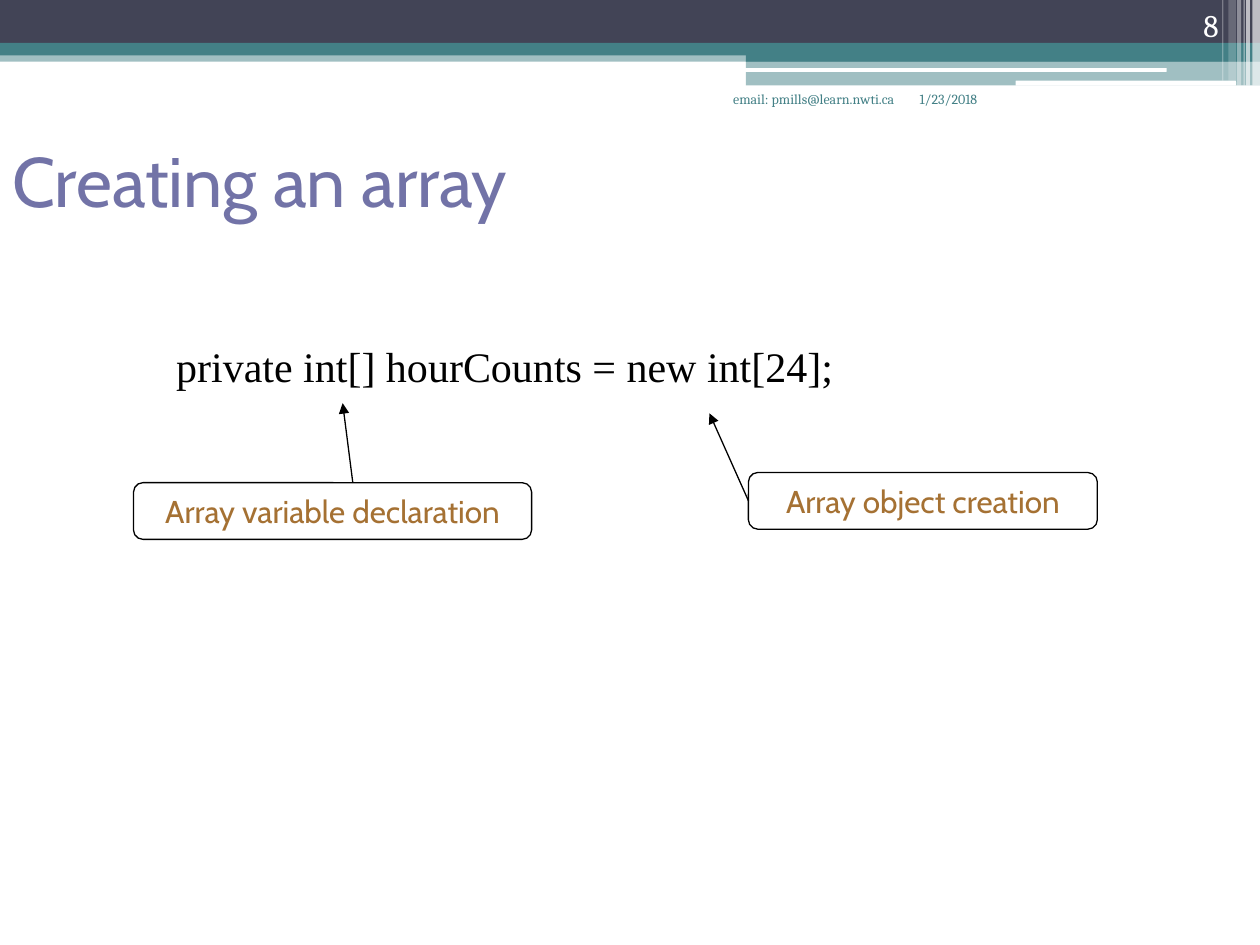
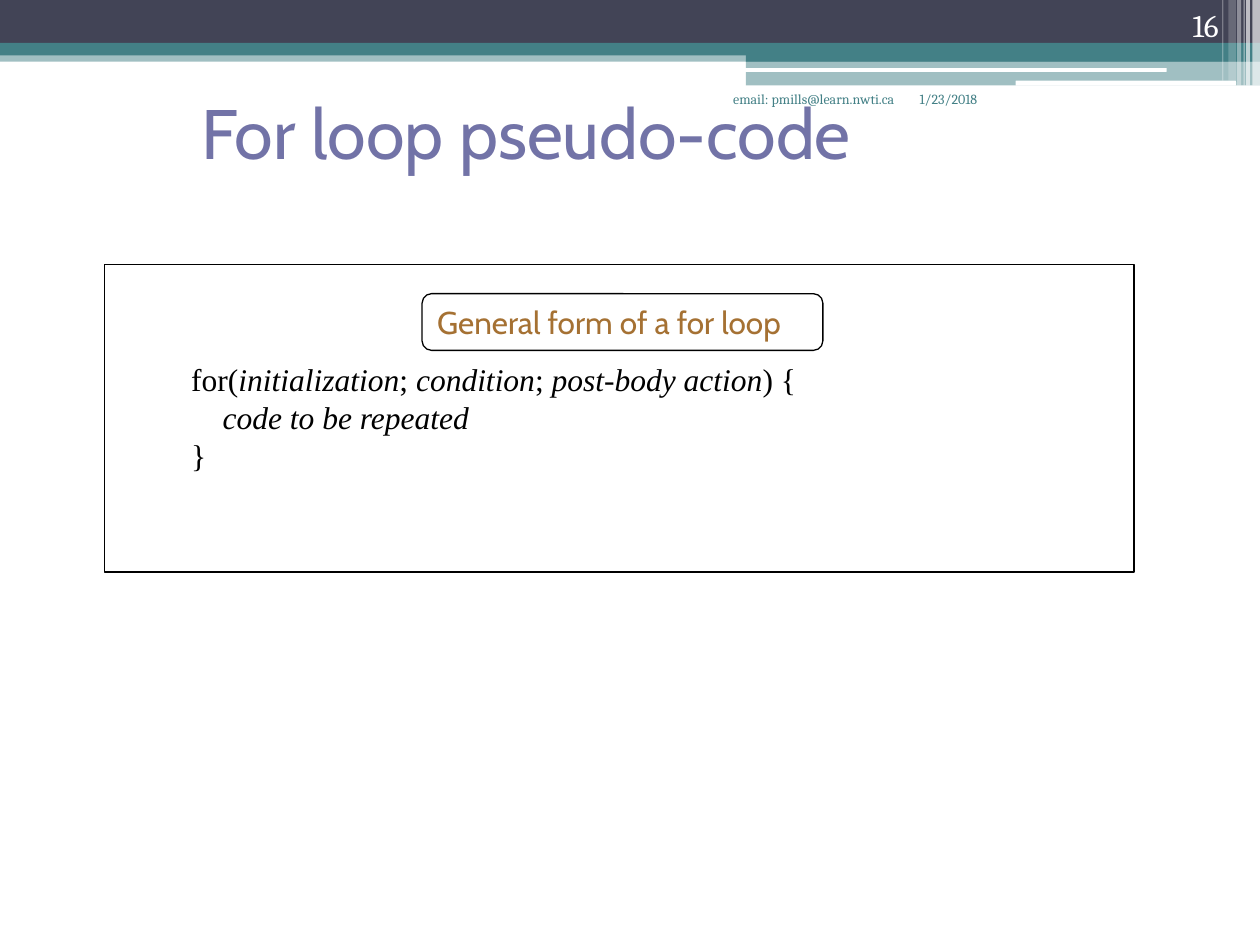
from lxml import etree
from pptx import Presentation
from pptx.dml.color import RGBColor
from pptx.enum import shapes, text
from pptx.oxml.ns import qn
from pptx.util import Pt

# Shared style
NAVY, TEAL, WHITE, BLACK = "424456", "438086", "FFFFFF", "000000"
VIOLET, OCHRE = "7273A7", "A57133"
HEAD, SMALL, CODE = "Cabin", "Cambria", "Times New Roman"
WIDTH, HEIGHT = 720, 540
LEFT, CENTER, RIGHT = text.PP_ALIGN.LEFT, text.PP_ALIGN.CENTER, text.PP_ALIGN.RIGHT
TOP, MIDDLE, BOTTOM = (text.MSO_ANCHOR.TOP, text.MSO_ANCHOR.MIDDLE,
                       text.MSO_ANCHOR.BOTTOM)
RECT = shapes.MSO_SHAPE.RECTANGLE
ROUND = shapes.MSO_SHAPE.ROUNDED_RECTANGLE
LINE_WIDTH = 0.75

# Header: box, colour, opacity in percent
BAND_X = 426.2
BANDS = [
    ((0, 28.8, WIDTH, 6.5), TEAL, 50),
    ((0, 0, WIDTH, 24.5), NAVY, 100),
    ((0, 24.5, WIDTH, 7.2), TEAL, 100),
    ((BAND_X, 28.1, WIDTH - BAND_X, 7.2), TEAL, 100),
    ((BAND_X, 34.6, WIDTH - BAND_X, 14.2), TEAL, 50),
]
WHITE_BARS = [(425.5, 38.9, 241.2, 2.2), (580.3, 46.1, 126, 2.9)]
# White stripes: left, width, height, opacity
STRIPES = [(715.7, 4.3, 49, 65), (712.1, 2.2, 49, 65), (710.6, 0.7, 49, 60),
           (707, 2.2, 49, 40), (702, 4.3, 46.1, 20), (698.4, 0.7, 46.1, 30)]
DATE = "1/23/2018"
EMAIL = "email: pmills@learn.nwti.ca"

# Slide content: a line of code is (indent, runs), a run is (text, italic)
SLIDES = [
    {
        "number": "8",
        "title": ("Creating an array", (0, 60.5, 648, 84.2)),
        "code": ([(0, [("private int[] hourCounts = new int[24];", False)])],
                 24, (93.6, 190.8, 399.6, 95)),
        "callouts": [
            {"text": "Array object creation", "box": (427.7, 270, 199.4, 32.4),
             "align": CENTER, "tip": (405.4, 236.2)},
            {"text": "Array variable declaration",
             "box": (76.3, 275.8, 227.5, 32.4), "align": CENTER,
             "tip": (195.8, 230.4), "start": (201.6, 275.8)},
        ],
    },
    {
        "number": "16",
        "title": ("For loop pseudo-code", (108, 30.2, 612, 90)),
        "code": ([(0, [("for(", False), ("initialization", True), ("; ", False),
                       ("condition", True), ("; ", False),
                       ("post-body action", True), (") {", False)]),
                  (18, [("code to be repeated", True)]),
                  (0, [("}", False)])],
                 18, (102.2, 202.3, 363.6, 72.7)),
        "callouts": [{"text": "General form of a for loop",
                      "box": (241.2, 167.8, 229, 32.4), "align": LEFT}],
        "frame": (59.8, 151.2, 588.2, 175.7),
    },
]


def rgb(value):
    return RGBColor.from_string(value)


def add_box(slide, kind, box, fill=None, opacity=100, line=None):
    sp = slide.shapes.add_shape(kind, *map(Pt, box))
    sp.shadow.inherit = False
    if kind == ROUND:
        sp.adjustments[0] = 0.167
    if fill:
        sp.fill.solid()
        sp.fill.fore_color.rgb = rgb(fill)
        if opacity < 100:
            color = sp.fill._xPr.find(".//" + qn("a:srgbClr"))
            etree.SubElement(color, qn("a:alpha"), val=str(opacity * 1000))
    else:
        sp.fill.background()
    if line:
        sp.line.color.rgb = rgb(line)
        sp.line.width = Pt(LINE_WIDTH)
    else:
        sp.line.fill.background()
    return sp


def write(sp, lines, size, font, color, align=LEFT, anchor=TOP):
    """Fill a shape with one string or with (indent, runs) lines."""
    if isinstance(lines, str):
        lines = [(0, [(lines, False)])]
    tf = sp.text_frame
    tf.word_wrap = True
    tf.vertical_anchor = anchor
    for i, (indent, runs) in enumerate(lines):
        p = tf.add_paragraph() if i else tf.paragraphs[0]
        p.alignment = align
        if indent:
            p._p.get_or_add_pPr().set("marL", str(Pt(indent)))
        for words, italic in runs:
            r = p.add_run()
            r.text = words
            r.font.name, r.font.size = font, Pt(size)
            r.font.italic = italic
            r.font.color.rgb = rgb(color)


def add_text(slide, box, lines, size, font, color, **layout):
    sp = slide.shapes.add_textbox(*map(Pt, box))
    write(sp, lines, size, font, color, **layout)


def add_arrow(slide, sp, tip, start=None):
    """Arrow from a free start point, or from the middle of the left side."""
    x, y = start or (0, 0)
    line = slide.shapes.add_connector(shapes.MSO_CONNECTOR.STRAIGHT,
                                      Pt(x), Pt(y), *map(Pt, tip))
    if start is None:
        line.begin_connect(sp, 1)
    line.line.color.rgb = rgb(BLACK)
    line.line.width = Pt(LINE_WIDTH)
    etree.SubElement(line.line._get_or_add_ln(), qn("a:tailEnd"), type="triangle")
    etree.SubElement(line._element.spPr, qn("a:effectLst"))


def add_header(slide, number):
    for box, color, opacity in BANDS:
        add_box(slide, RECT, box, color, opacity)
    for box in WHITE_BARS:
        add_box(slide, ROUND, box, WHITE)
    for x, w, h, opacity in STRIPES:
        add_box(slide, RECT, (x, 0, w, h), WHITE, opacity)
    add_text(slide, (518.4, 48.2, 75.6, 36), DATE, 8, SMALL, TEAL)
    add_text(slide, (404, 48.2, 114.4, 36), EMAIL, 8, SMALL, TEAL, align=RIGHT)
    add_text(slide, (643.7, 0, 59.8, 28.8), number, 18, SMALL, WHITE,
             align=RIGHT, anchor=BOTTOM)


def build_slide(prs, content):
    slide = prs.slides.add_slide(prs.slide_layouts[6])
    add_header(slide, content["number"])
    title, box = content["title"]
    add_text(slide, box, title, 40, HEAD, VIOLET, anchor=MIDDLE)
    lines, size, box = content["code"]
    add_text(slide, box, lines, size, CODE, BLACK)

    # Callouts and their arrows
    for callout in content["callouts"]:
        sp = add_box(slide, ROUND, callout["box"], line=BLACK)
        write(sp, callout["text"], 18, HEAD, OCHRE,
              align=callout["align"], anchor=MIDDLE)
        if "tip" in callout:
            add_arrow(slide, sp, callout["tip"], callout.get("start"))
    if "frame" in content:
        add_box(slide, RECT, content["frame"], line=BLACK)


def main():
    prs = Presentation()
    prs.slide_width, prs.slide_height = Pt(WIDTH), Pt(HEIGHT)
    for content in SLIDES:
        build_slide(prs, content)
    prs.save("out.pptx")


if __name__ == "__main__":
    main()
